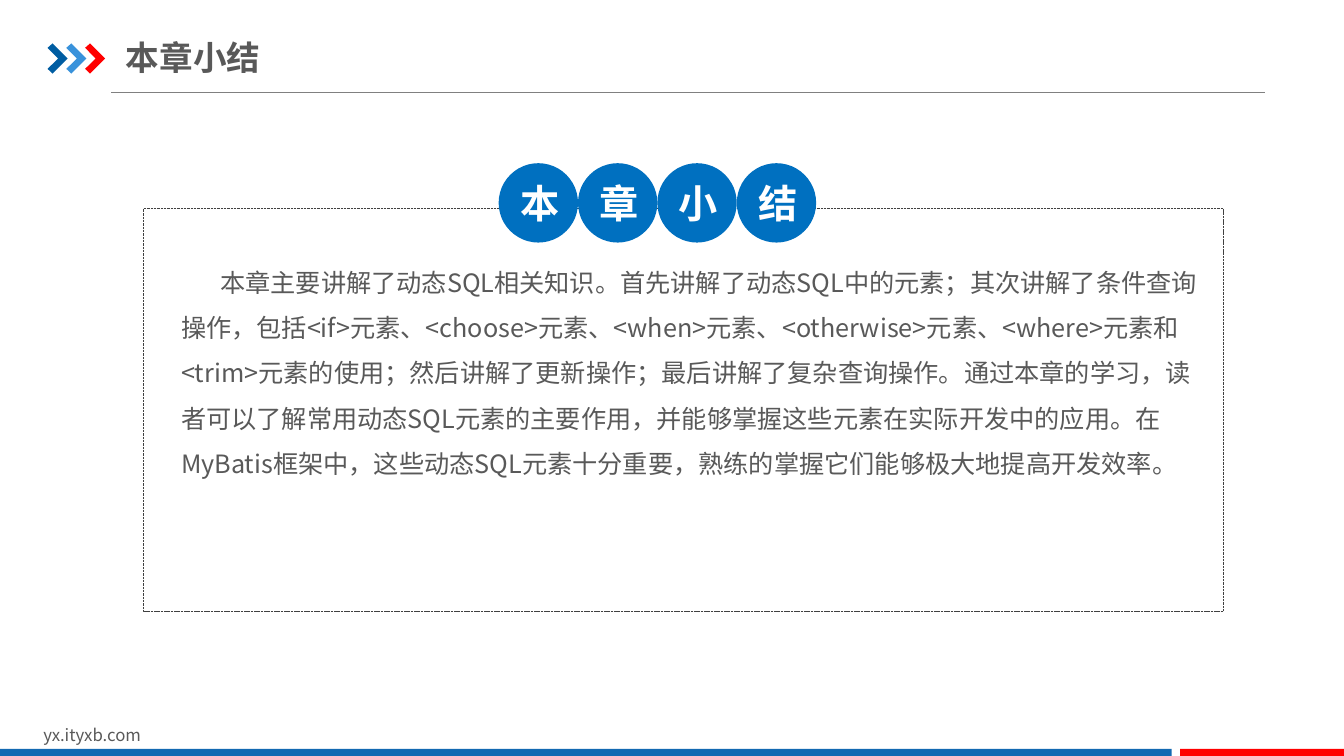
from lxml import etree
from pptx import Presentation
from pptx.dml.color import RGBColor
from pptx.enum import dml, shapes, text
from pptx.oxml.ns import qn
from pptx.util import Pt

FONT = "Noto Sans CJK SC"
TEXT_GRAY = RGBColor(0x59, 0x59, 0x59)
RULE_GRAY = RGBColor(0x80, 0x80, 0x80)
FRAME_GRAY = RGBColor(0x40, 0x40, 0x40)
NAVY = RGBColor(0x00, 0x5D, 0xA2)
SKY = RGBColor(0x39, 0x92, 0xDB)
RED = RGBColor(0xFF, 0x00, 0x00)
BAR_BLUE = RGBColor(0x13, 0x69, 0xB2)
CIRCLE_BLUE = RGBColor(0x00, 0x70, 0xC0)
WHITE = RGBColor(0xFF, 0xFF, 0xFF)

SUMMARY = (
    "本章主要讲解了动态SQL相关知识。首先讲解了动态SQL中的元素；"
    "其次讲解了条件查询操作，包括<if>元素、<choose>元素、<when>元素、"
    "<otherwise>元素、<where>元素和<trim>元素的使用；然后讲解了更新操作；"
    "最后讲解了复杂查询操作。通过本章的学习，读者可以了解常用动态SQL元素的主要作用，"
    "并能够掌握这些元素在实际开发中的应用。在MyBatis框架中，这些动态SQL元素十分重要，"
    "熟练的掌握它们能够极大地提高开发效率。"
)


def write(shape, words, size, color, bold=False, align=text.PP_ALIGN.LEFT):
    """Fill the shape with one formatted paragraph and return that paragraph."""
    shape.text_frame.word_wrap = True
    paragraph = shape.text_frame.paragraphs[0]
    paragraph.text = words
    paragraph.alignment = align
    font = paragraph.runs[0].font
    font.size, font.bold, font.name = Pt(size), bold, FONT
    font.color.rgb = color
    run_properties = paragraph.runs[0]._r.get_or_add_rPr()
    etree.SubElement(run_properties, qn("a:ea"), typeface=FONT)
    return paragraph


def paint(shape, color):
    shape.shadow.inherit = False
    shape.fill.solid()
    shape.fill.fore_color.rgb = color
    shape.line.fill.background()


deck = Presentation()
deck.slide_width, deck.slide_height = Pt(960), Pt(540)
slide = deck.slides.add_slide(deck.slide_layouts[5])
canvas = slide.shapes

# Header
title = canvas.title
title.left, title.top, title.width, title.height = Pt(90), Pt(20.9), Pt(306.7), Pt(39.6)
write(title, "本章小结", 24, TEXT_GRAY, bold=True)
title.text_frame.auto_size = text.MSO_AUTO_SIZE.NONE
title.text_frame.vertical_anchor = text.MSO_ANCHOR.MIDDLE
title.text_frame.margin_left = title.text_frame.margin_right = 0
title.text_frame.margin_top = title.text_frame.margin_bottom = Pt(5)

header_rule = canvas.add_connector(
    shapes.MSO_CONNECTOR.STRAIGHT, Pt(79.4), Pt(65.9), Pt(903.6), Pt(65.9))
header_rule.line.color.rgb = RULE_GRAY
header_rule.line.width = Pt(0.5)
etree.SubElement(header_rule._element.spPr, qn("a:effectLst"))

CHEVRON = [(0, 34.2), (3.6, 31), (14.4, 41.8), (3.6, 52.6), (0, 49.2), (7.6, 41.8)]
for index, color in enumerate((NAVY, SKY, RED)):
    corners = [(Pt(34 + 13.4 * index + x), Pt(y)) for x, y in CHEVRON]
    outline = canvas.build_freeform(*corners[0])
    outline.add_line_segments(corners[1:], close=True)
    paint(outline.convert_to_shape(), color)

# Footer
website = canvas.add_textbox(Pt(23.9), Pt(514), Pt(229), Pt(21.8))
write(website, "yx.ityxb.com", 12, TEXT_GRAY)
for left, width, color in ((0, 837, BAR_BLUE), (843, 117, RED)):
    footer_bar = canvas.add_shape(
        shapes.MSO_SHAPE.RECTANGLE, Pt(left), Pt(535), Pt(width), Pt(5))
    paint(footer_bar, color)

# Summary frame, heading circles and body
frame = canvas.add_shape(
    shapes.MSO_SHAPE.ROUNDED_RECTANGLE, Pt(102.6), Pt(149), Pt(771.4), Pt(287.6))
frame.adjustments[0] = 0
frame.shadow.inherit = False
frame.fill.background()
frame.line.color.rgb = FRAME_GRAY
frame.line.width = Pt(0.25)
frame.line.dash_style = dml.MSO_LINE.SQUARE_DOT

DIAMETER = 56.7
for index, character in enumerate("本章小结"):
    circle = canvas.add_shape(
        shapes.MSO_SHAPE.OVAL, Pt(356.2 + DIAMETER * index), Pt(116.6),
        Pt(DIAMETER), Pt(DIAMETER))
    paint(circle, CIRCLE_BLUE)
    write(circle, character, 28, WHITE, bold=True, align=text.PP_ALIGN.CENTER)
    circle.text_frame.vertical_anchor = text.MSO_ANCHOR.MIDDLE

summary = canvas.add_textbox(Pt(119.7), Pt(175), Pt(748), Pt(169))
paragraph = write(summary, SUMMARY, 18, TEXT_GRAY)
paragraph.line_spacing = 1.5
paragraph._p.get_or_add_pPr().set("indent", str(Pt(28)))
summary.text_frame.margin_left = summary.text_frame.margin_right = Pt(9.6)
summary.text_frame.margin_top = summary.text_frame.margin_bottom = Pt(4.8)

deck.save("out.pptx")
